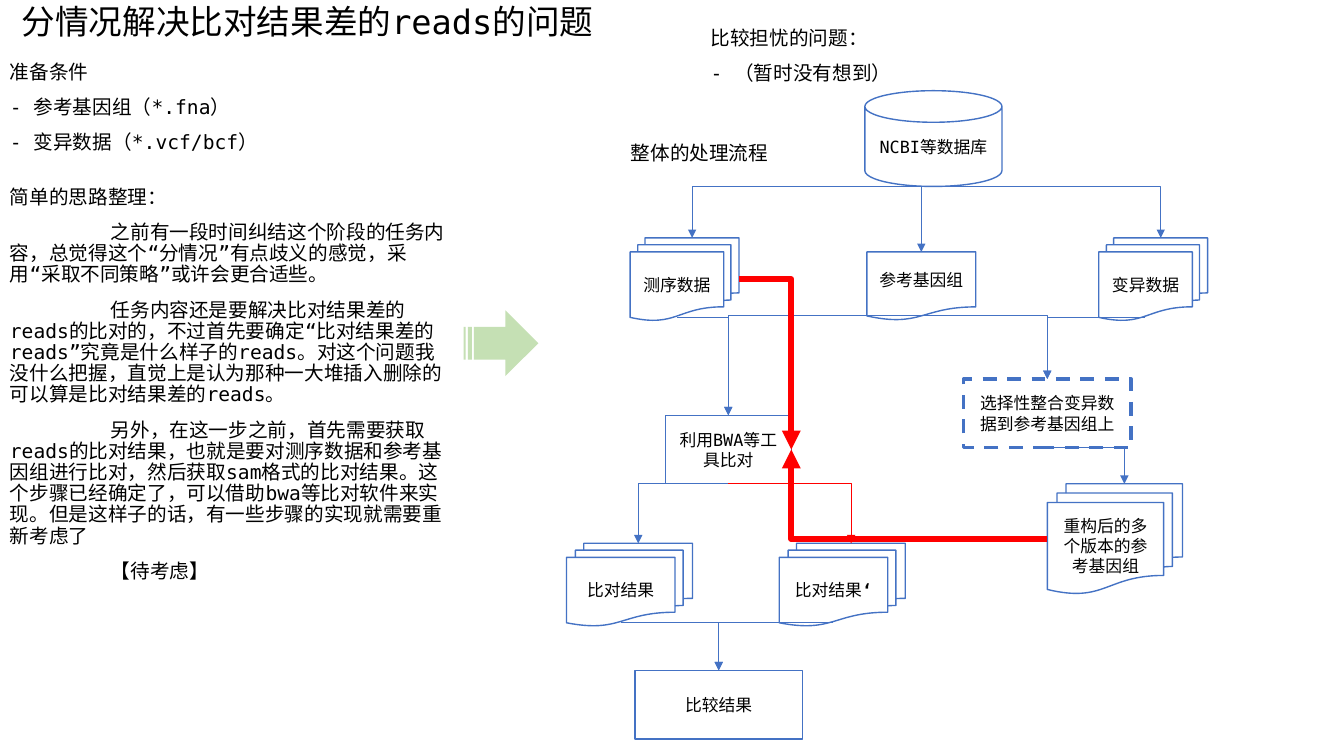
from lxml.etree import SubElement
from pptx import Presentation
from pptx.dml.color import RGBColor
from pptx.enum.dml import MSO_LINE
from pptx.enum.lang import MSO_LANGUAGE_ID
from pptx.enum.shapes import MSO_CONNECTOR, MSO_SHAPE
from pptx.enum.text import MSO_ANCHOR, MSO_AUTO_SIZE, PP_ALIGN
from pptx.oxml.ns import qn
from pptx.util import Inches, Pt

BLACK = RGBColor(0x00, 0x00, 0x00)
WHITE = RGBColor(0xFF, 0xFF, 0xFF)
BLUE = RGBColor(0x44, 0x72, 0xC4)
RED = RGBColor(0xFF, 0x00, 0x00)
GREEN = RGBColor(0xC5, 0xE0, 0xB4)

BOX = MSO_SHAPE.RECTANGLE
STACK = MSO_SHAPE.FLOWCHART_MULTIDOCUMENT
SHEET = MSO_SHAPE.FLOWCHART_DOCUMENT
DATABASE = MSO_SHAPE.CAN

SIDES = {"top": (0.5, 0), "left": (0, 0.5), "bottom": (0.5, 1), "right": (1, 0.5)}
CURVED_SIDES = {
    (STACK, "top"): (0.57, 0),
    (STACK, "bottom"): (0.43, 0.96),
    (SHEET, "bottom"): (0.5, 0.93),
}


class FlowSlide:
    font = "DejaVu Sans Mono"
    title_size, body_size, node_size = 24, 14, 12
    columns = rows = 100

    def __init__(self, deck):
        self.slide = deck.slides.add_slide(deck.slide_layouts[5])
        self.column = deck.slide_width / self.columns
        self.row = deck.slide_height / self.rows

    def area(self, left, top, width, height):
        return (round(left * self.column), round(top * self.row),
                round(width * self.column), round(height * self.row))

    def style_runs(self, paragraph, size):
        for run in paragraph.runs:
            run.font.size = Pt(size)
            run.font.name = self.font
            run.font.color.rgb = BLACK
            run.font.language_id = MSO_LANGUAGE_ID.SIMPLIFIED_CHINESE
            east_asian = SubElement(run.font._element, qn("a:ea"))
            east_asian.set("typeface", self.font)

    def fill_frame(self, frame, wording, size, align, indented_from=None):
        frame.word_wrap = True
        frame.auto_size = MSO_AUTO_SIZE.SHAPE_TO_FIT_TEXT
        frame.vertical_anchor = MSO_ANCHOR.TOP
        frame.text = wording
        for number, paragraph in enumerate(frame.paragraphs):
            paragraph.alignment = align
            paragraph.line_spacing = 0.9
            paragraph.space_before = Pt(10 if number else 0)
            if indented_from is not None and number >= indented_from:
                paragraph._p.get_or_add_pPr().set("indent", str(Inches(1)))
            self.style_runs(paragraph, size)

    def title(self, wording, *place):
        heading = self.slide.shapes.title
        heading.left, heading.top, heading.width, heading.height = self.area(*place)
        self.fill_frame(heading.text_frame, wording, self.title_size, PP_ALIGN.CENTER)

    def note(self, lines, *place, align=PP_ALIGN.LEFT, indented_from=None):
        frame = self.slide.shapes.add_textbox(*self.area(*place)).text_frame
        self.fill_frame(frame, "\n".join(lines), self.body_size, align, indented_from)

    def shape(self, kind, fill, *place):
        shape = self.slide.shapes.add_shape(kind, *self.area(*place))
        shape.shadow.inherit = False
        shape.fill.solid()
        shape.fill.fore_color.rgb = fill
        return shape

    def block_arrow(self, *place):
        self.shape(MSO_SHAPE.STRIPED_RIGHT_ARROW, GREEN, *place).line.fill.background()

    def node(self, kind, wording, *place, bold_end="", dashed=False):
        node = self.shape(kind, WHITE, *place)
        node.line.color.rgb = BLUE
        node.line.width = Pt(2.5 if dashed else 1)
        if dashed:
            node.line.dash_style = MSO_LINE.DASH
        if kind == DATABASE:
            node.adjustments[0] = 0.33
        frame = node.text_frame
        frame.word_wrap = True
        frame.vertical_anchor = MSO_ANCHOR.MIDDLE
        frame.text = wording
        label = frame.paragraphs[0]
        label.alignment = PP_ALIGN.CENTER
        if bold_end:
            ending = label.add_run()
            ending.text = bold_end
            ending.font.bold = True
        self.style_runs(label, self.node_size)
        return node

    def joint(self, node, side):
        across, down = CURVED_SIDES.get((node.auto_shape_type, side), SIDES[side])
        return (round(node.left + across * node.width),
                round(node.top + down * node.height))

    def flow(self, source, target, leave="bottom", enter="top", color=BLUE, width=0.5):
        link = self.slide.shapes.add_connector(
            MSO_CONNECTOR.ELBOW, *self.joint(source, leave), *self.joint(target, enter))
        link.line.color.rgb = color
        link.line.width = Pt(width)
        properties = link._element.spPr
        properties.find(qn("a:prstGeom")).set("prst", "bentConnector2")
        SubElement(properties.find(qn("a:ln")), qn("a:tailEnd")).set("type", "triangle")
        SubElement(properties, qn("a:effectLst"))


def main():
    deck = Presentation()
    deck.slide_width, deck.slide_height = Inches(13.33), Inches(7.5)
    page = FlowSlide(deck)

    page.title("分情况解决比对结果差的reads的问题", 0, 0, 45.75, 6.13)
    page.note(["准备条件", "- 参考基因组（*.fna）", "- 变异数据（*.vcf/bcf）"],
              0, 7.6, 32.55, 13.6)
    page.note(["比较担忧的问题：", "- （暂时没有想到）"], 52.13, 3.07, 21.9, 8.93)
    page.note([
        "简单的思路整理：",
        "之前有一段时间纠结这个阶段的任务内容，总觉得这个“分情况”有点歧义的感觉，"
        "采用“采取不同策略”或许会更合适些。",
        "任务内容还是要解决比对结果差的reads的比对的，不过首先要确定“比对结果差的reads”"
        "究竟是什么样子的reads。对这个问题我没什么把握，"
        "直觉上是认为那种一大堆插入删除的可以算是比对结果差的reads。",
        "另外，在这一步之前，首先需要获取reads的比对结果，"
        "也就是要对测序数据和参考基因组进行比对，然后获取sam格式的比对结果。"
        "这个步骤已经确定了，可以借助bwa等比对软件来实现。"
        "但是这样子的话，有一些步骤的实现就需要重新考虑了",
        "【待考虑】",
    ], 0, 24.13, 34.5, 54, indented_from=1)
    page.block_arrow(34.5, 41.07, 5.55, 8.67)
    page.note(["整体的处理流程"], 44.48, 18.27, 15.15, 4.13, align=PP_ALIGN.CENTER)

    database = page.node(DATABASE, "NCBI等数据库", 64.35, 12, 10.2, 12.67)
    sequencing = page.node(STACK, "测序数据", 46.88, 31.47, 8.1, 10.93)
    reference = page.node(SHEET, "参考基因组", 64.5, 33.33, 8.1, 9.07)
    variants = page.node(STACK, "变异数据", 81.75, 31.47, 8.1, 10.93)
    integration = page.node(BOX, "选择性整合变异数据到参考基因组上",
                            71.7, 50.13, 12.45, 9.07, dashed=True)
    alignment = page.node(BOX, "利用BWA等工具比对", 49.5, 54.93, 9.38, 9.07)
    rebuilt = page.node(STACK, "重构后的多个版本的参考基因组", 77.93, 64, 10.05, 14.53)
    result = page.node(STACK, "比对结果", 42.15, 71.87, 9.38, 10.93)
    new_result = page.node(STACK, "比对结果", 57.98, 71.87, 9.38, 10.93, bold_end="‘")
    comparison = page.node(BOX, "比较结果", 47.25, 88.67, 12.45, 9.07)

    for source, target in [
        (database, sequencing), (database, reference), (database, variants),
        (sequencing, alignment), (reference, alignment),
        (reference, integration), (variants, integration),
        (integration, rebuilt), (alignment, result),
        (result, comparison), (new_result, comparison),
    ]:
        page.flow(source, target)
    for source, leave in [(sequencing, "right"), (rebuilt, "left")]:
        page.flow(source, alignment, leave, "right", RED, 4.5)
    page.flow(alignment, new_result, color=RED)

    deck.save("out.pptx")


if __name__ == "__main__":
    main()
